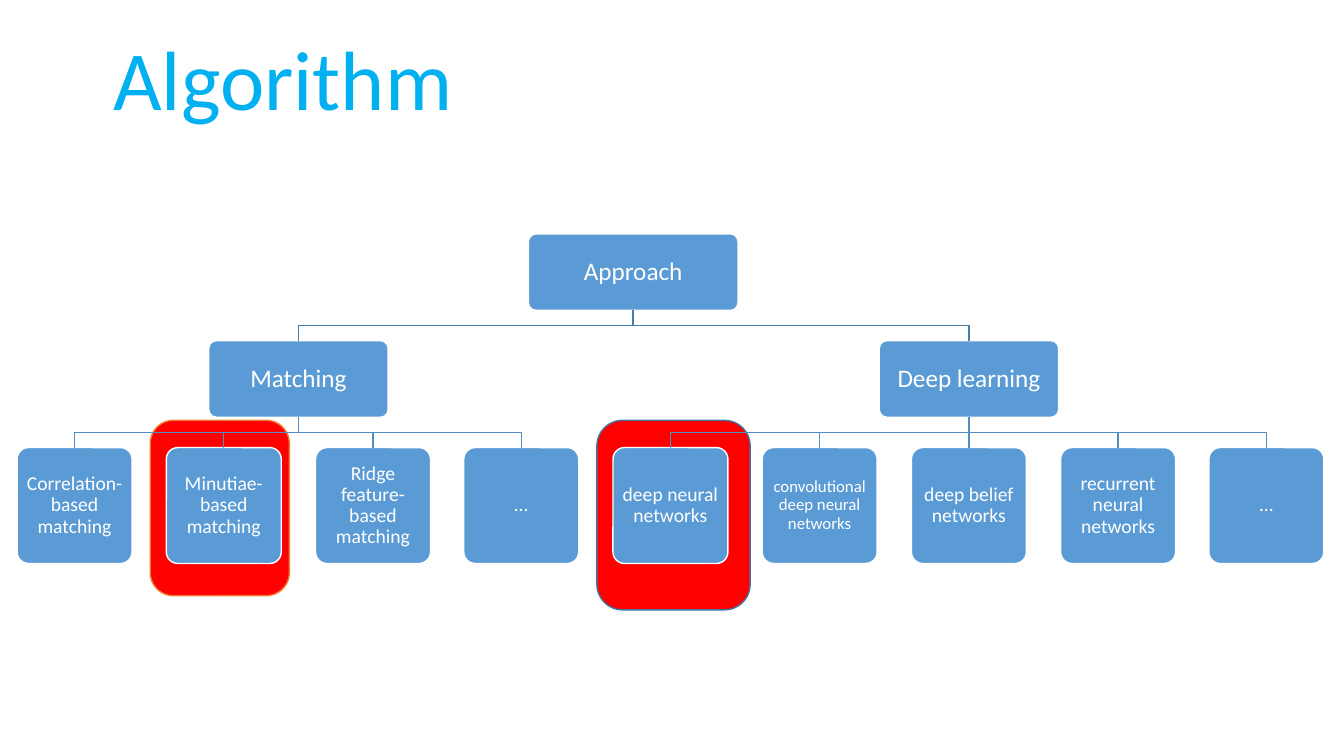
import pptx
import pptx.util
import pptx.dml.color
import pptx.enum.shapes
import pptx.enum.text
import pptx.oxml

RGB = pptx.dml.color.RGBColor
SHAPE = pptx.enum.shapes.MSO_SHAPE.ROUNDED_RECTANGLE
STRAIGHT = pptx.enum.shapes.MSO_CONNECTOR.STRAIGHT
ALIGN = pptx.enum.text.PP_ALIGN
ANCHOR = pptx.enum.text.MSO_ANCHOR
SIZE = pptx.enum.text.MSO_AUTO_SIZE

WHITE = RGB(0xFF, 0xFF, 0xFF)
SKY = RGB(0x00, 0xB0, 0xF0)
BLUE = RGB(0x5B, 0x9B, 0xD5)
NAVY = RGB(0x43, 0x73, 0x9E)
UPPER = RGB(0x49, 0x7C, 0xAB)
LOWER = RGB(0x53, 0x8D, 0xC1)
RED = RGB(0xFF, 0x00, 0x00)
ORANGE = RGB(0xED, 0x7D, 0x31)

SCALE = 9144
TOP = 232
ROW = 106
STEP = 147.8
EFFECT = ('<a:effectLst xmlns:a='
          '"http://schemas.openxmlformats.org/drawingml/2006/main"/>')


def px(num):
    return pptx.util.Emu(num * SCALE)


class Chart:
    font = "Calibri"
    inset = 6

    def __init__(self, deck):
        self.slide = deck.slides.add_slide(deck.slide_layouts[5])
        self.shapes = self.slide.shapes

    def label(self, frame, text, size, color):
        para = frame.paragraphs[0]
        para.alignment = ALIGN.CENTER
        run = para.add_run()
        run.text = text
        run.font.name = self.font
        run.font.size = pptx.util.Pt(size)
        run.font.color.rgb = color
        return para

    def title(self, text, left, top, width, height):
        box = self.shapes.title
        box.left, box.top = px(left), px(top)
        box.width, box.height = px(width), px(height)
        frame = box.text_frame
        frame.auto_size = SIZE.NONE
        frame.vertical_anchor = ANCHOR.TOP
        self.label(frame, text, 60, SKY)

    def panel(self, left, top, width, height, fill, edge):
        box = self.shapes.add_shape(
            SHAPE, px(left), px(top), px(width), px(height))
        box.shadow.inherit = False
        box.fill.solid()
        box.fill.fore_color.rgb = fill
        box.line.color.rgb = edge
        box.line.width = pptx.util.Pt(1)
        return box

    def node(self, text, mid, level, width, height, size):
        box = self.panel(mid - width // 2, TOP + level * ROW,
                         width, height, BLUE, WHITE)
        box.adjustments[0] = 0.1
        frame = box.text_frame
        frame.word_wrap = True
        frame.vertical_anchor = ANCHOR.MIDDLE
        frame.margin_left = frame.margin_right = px(self.inset)
        frame.margin_top = frame.margin_bottom = px(self.inset)
        self.label(frame, text, size, WHITE).line_spacing = 0.9
        return box

    def link(self, head, tail, color):
        start = (head.left + head.width // 2, head.top + head.height)
        end = (tail.left + tail.width // 2, tail.top)
        if start[0] == end[0]:
            line = self.shapes.add_connector(STRAIGHT, *start, *end)
            line.begin_connect(head, 2)
            line.end_connect(tail, 0)
            line._element.spPr.append(pptx.oxml.parse_xml(EFFECT))
        else:
            bend = (start[1] + end[1]) // 2
            route = self.shapes.build_freeform(*start)
            route.add_line_segments(
                [(start[0], bend), (end[0], bend), end], close=False)
            line = route.convert_to_shape()
            line.shadow.inherit = False
            line.fill.background()
        line.line.color.rgb = color
        line.line.width = pptx.util.Pt(1)


TREE = [
    ("Matching", 296, [
        ("Correlation-based matching", 14),
        ("Minutiae-based matching", 14),
        ("Ridge feature-based matching", 14),
        ("…", 14),
    ]),
    ("Deep learning", 961, [
        ("deep neural networks", 14),
        ("convolutional deep neural networks", 12),
        ("deep belief networks", 14),
        ("recurrent neural networks", 14),
        ("…", 14),
    ]),
]


def main():
    deck = pptx.Presentation()
    deck.slide_width, deck.slide_height = px(1333), px(750)
    chart = Chart(deck)
    chart.title("Algorithm", 62, 21, 437, 111)
    chart.panel(592, 417, 152, 188, RED, NAVY)
    chart.panel(149, 417, 138, 174, RED, ORANGE)
    root = chart.node("Approach", 628, 0, 208, 76, 18)
    count = 0
    for name, mid, leaves in TREE:
        branch = chart.node(name, mid, 1, 178, 76, 18)
        chart.link(root, branch, UPPER)
        for text, size in leaves:
            leaf = chart.node(text, round(74 + STEP * count), 2,
                              114, 115, size)
            chart.link(branch, leaf, LOWER)
            count += 1
    deck.save("out.pptx")


if __name__ == "__main__":
    main()
